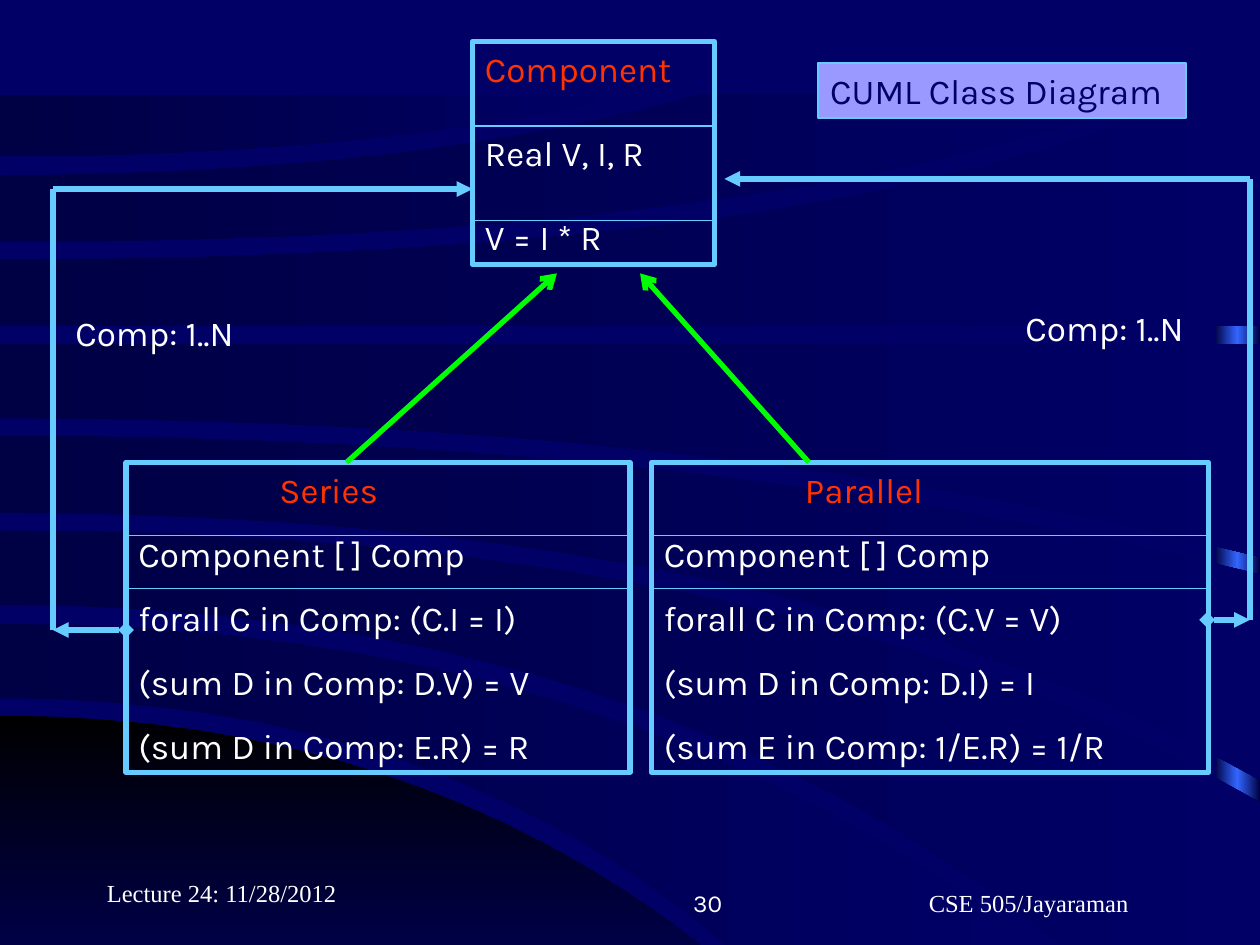
from copy import deepcopy
from lxml import etree
from pptx import Presentation
from pptx.dml.color import RGBColor
from pptx.enum.shapes import MSO_CONNECTOR, MSO_SHAPE
from pptx.enum.text import MSO_ANCHOR, PP_ALIGN
from pptx.oxml.ns import qn
from pptx.util import Inches, Pt

RECT = MSO_SHAPE.RECTANGLE
LINE = MSO_CONNECTOR.STRAIGHT
TOP, LOW = MSO_ANCHOR.TOP, MSO_ANCHOR.BOTTOM
LEFT, MID, RIGHT = PP_ALIGN.LEFT, PP_ALIGN.CENTER, PP_ALIGN.RIGHT


class Theme:
    navy = RGBColor.from_string("000066")
    dark = RGBColor.from_string("000044")
    black = RGBColor.from_string("000000")
    dusk = RGBColor.from_string("000047")
    glow = RGBColor.from_string("3366FF")
    sky = RGBColor.from_string("66CCFF")
    lilac = RGBColor.from_string("9999FF")
    red = RGBColor.from_string("FF3300")
    green = RGBColor.from_string("00FF00")
    white = RGBColor.from_string("FFFFFF")
    body, small = Pt(20), Pt(14)
    sans, serif = "Karla", "Times New Roman"


def write(box, rows, gap=0, color=Theme.white, size=Theme.body,
          font=Theme.sans, align=LEFT, anchor=TOP):
    frame = box.text_frame
    frame.word_wrap = True
    frame.vertical_anchor = anchor
    frame.text = "\n".join(rows)
    for n, para in enumerate(frame.paragraphs):
        para.alignment = align
        para.space_before = Pt(gap if n else 0)
        run = para.runs[0].font
        run.name, run.size = font, size
        run.color.rgb = color


def link(start, end, width=3, color=Theme.sky, head=None, tail=None):
    line = shapes.add_connector(LINE, *map(Inches, start + end))
    line.line.color.rgb = color
    line.line.width = Pt(width)
    props = line._element.spPr
    edge = props.find(qn("a:ln"))
    for tag, kind in (("a:headEnd", head), ("a:tailEnd", tail)):
        if kind:
            etree.SubElement(edge, qn(tag), type=kind)
    etree.SubElement(props, qn("a:effectLst"))


deck = Presentation()
deck.slide_width, deck.slide_height = Inches(10), Inches(7.5)
slide = deck.slides.add_slide(deck.slide_layouts[6])
shapes = slide.shapes
slide.background.fill.solid()
slide.background.fill.fore_color.rgb = Theme.navy

strip = shapes.add_shape(RECT, Inches(9.64), Inches(0.77), Inches(0.36), Inches(6.73))
strip.shadow.inherit = False
strip.line.fill.background()
strip.fill.gradient()
strip.fill.gradient_angle = 0
stops = strip._element.spPr.find(".//" + qn("a:gsLst"))
stops.insert(1, deepcopy(stops[0]))
tints = (0, Theme.dark), (0.5, Theme.glow), (1, Theme.dark)
for stop, (place, tint) in zip(strip.fill.gradient_stops, tints):
    stop.position = place
    stop.color.rgb = tint

STEPS = 16
hill = (5.68, 3.22, 5.56, 7.5), (7.5, 2.8, 5.56, 7.5)
bands = [
    ((4.95, 4.9, 8.2, 7.5), (5.54, 3.48, 5.77, 7.5)),
    ((4.21, 6.3, 10, 6.37), (4.8, 5.1, 8.42, 7.5)),
    ((3.46, 5.56, 10, 4.56), (4.07, 6.3, 10, 6.19)),
    ((2.73, 5, 10, 2.73), (3.32, 5.74, 10, 4.42)),
    ((2.06, 6.68, 9.44, 0.75), (2.59, 5, 10, 2.59)),
    ((1.39, 3.28, 5.57, 0.75), (1.92, 6.1, 9.18, 0.75)),
    ((0.75, 2.5, 5.02, 0.75), (1.24, 2.95, 5.02, 0.75)),
]
waves = [(hill, 270, Theme.black, Theme.dusk)]
waves += [(band, 0, Theme.dark, Theme.navy) for band in bands]
for band, angle, first, last in waves:
    sides = []
    for y, bend, right, end in band:
        times = [n / STEPS for n in range(STEPS + 1)]
        sides.append([(2 * t * (1 - t) * bend + t * t * right,
                       y + t * t * (end - y)) for t in times])
    upper, lower = sides
    near, far = sorted((upper[-1], lower[-1]))
    points = upper + [(far[0], near[1])] + lower[::-1]
    spots = [(Inches(x), Inches(y)) for x, y in points]
    pen = shapes.build_freeform(*spots[0])
    pen.add_line_segments(spots[1:])
    wave = pen.convert_to_shape()
    wave.shadow.inherit = False
    wave.line.fill.background()
    wave.fill.gradient()
    wave.fill.gradient_angle = angle
    for stop, tint in zip(wave.fill.gradient_stops, (first, last)):
        stop.color.rgb = tint

panes = [
    ((3.75, 0.33, 1.92, 1.77), 24, 0, ((1, 1.5), (1.75, 1)),
     ["Component", "Real V, I, R", "V = I * R"]),
    ((1, 3.67, 4, 2.46), 12.5, 1.12, ((4.25, 1), (4.67, 1)),
     ["Series", "Component [ ] Comp", "forall C in Comp: (C.I = I)",
      "(sum D in Comp: D.V) = V", "(sum D in Comp: E.R) = R"]),
    ((5.17, 3.67, 4.42, 2.46), 12.5, 1.12, ((4.25, 1), (4.67, 1)),
     ["Parallel", "Component [ ] Comp", "forall C in Comp: (C.V = V)",
      "(sum D in Comp: D.I) = I", "(sum E in Comp: 1/E.R) = 1/R"]),
]
for area, gap, indent, rules, rows in panes:
    pane = shapes.add_shape(RECT, *map(Inches, area))
    pane.shadow.inherit = False
    pane.fill.background()
    pane.line.color.rgb = Theme.sky
    pane.line.width = Pt(3)
    write(pane, rows, gap)
    title = pane.text_frame.paragraphs[0]
    title.runs[0].font.color.rgb = Theme.red
    title._p.get_or_add_pPr().set("marL", str(Inches(indent)))
    for y, width in rules:
        link((area[0], y), (area[0] + area[2], y), width)

link((1, 5), (0.42, 5), head="diamond", tail="triangle")
link((0.42, 5), (0.42, 1.5))
link((0.42, 1.5), (3.75, 1.5), tail="triangle")
link((9.58, 4.92), (9.92, 4.92), head="diamond", tail="triangle")
link((9.92, 4.92), (9.92, 1.42))
link((9.92, 1.42), (5.75, 1.42), tail="triangle")
link((2.75, 3.67), (4.42, 2.17), color=Theme.green, tail="arrow")
link((6.42, 3.67), (5.08, 2.17), color=Theme.green, tail="arrow")

for area in ((0.5, 2.42, 2.08, 0.44), (8.04, 2.38, 1.64, 0.44)):
    write(shapes.add_textbox(*map(Inches, area)), ["Comp: 1..N"])

badge = shapes.add_shape(RECT, Inches(6.49), Inches(0.5), Inches(2.92), Inches(0.44))
badge.shadow.inherit = False
badge.fill.solid()
badge.fill.fore_color.rgb = Theme.lilac
badge.line.color.rgb = Theme.sky
badge.line.width = Pt(1)
write(badge, ["CUML Class Diagram"], color=Theme.navy)

feet = [
    ((0.75, 6.75, 2.08, 0.5), "Lecture 24: 11/28/2012", Theme.serif, LEFT),
    ((3.75, 6.83, 2.08, 0.5), "30", Theme.sans, RIGHT),
    ((6.58, 6.83, 3.17, 0.5), "CSE 505/Jayaraman", Theme.serif, MID),
]
for area, words, font, align in feet:
    write(shapes.add_textbox(*map(Inches, area)), [words], size=Theme.small,
          font=font, align=align, anchor=LOW)

deck.save("out.pptx")
